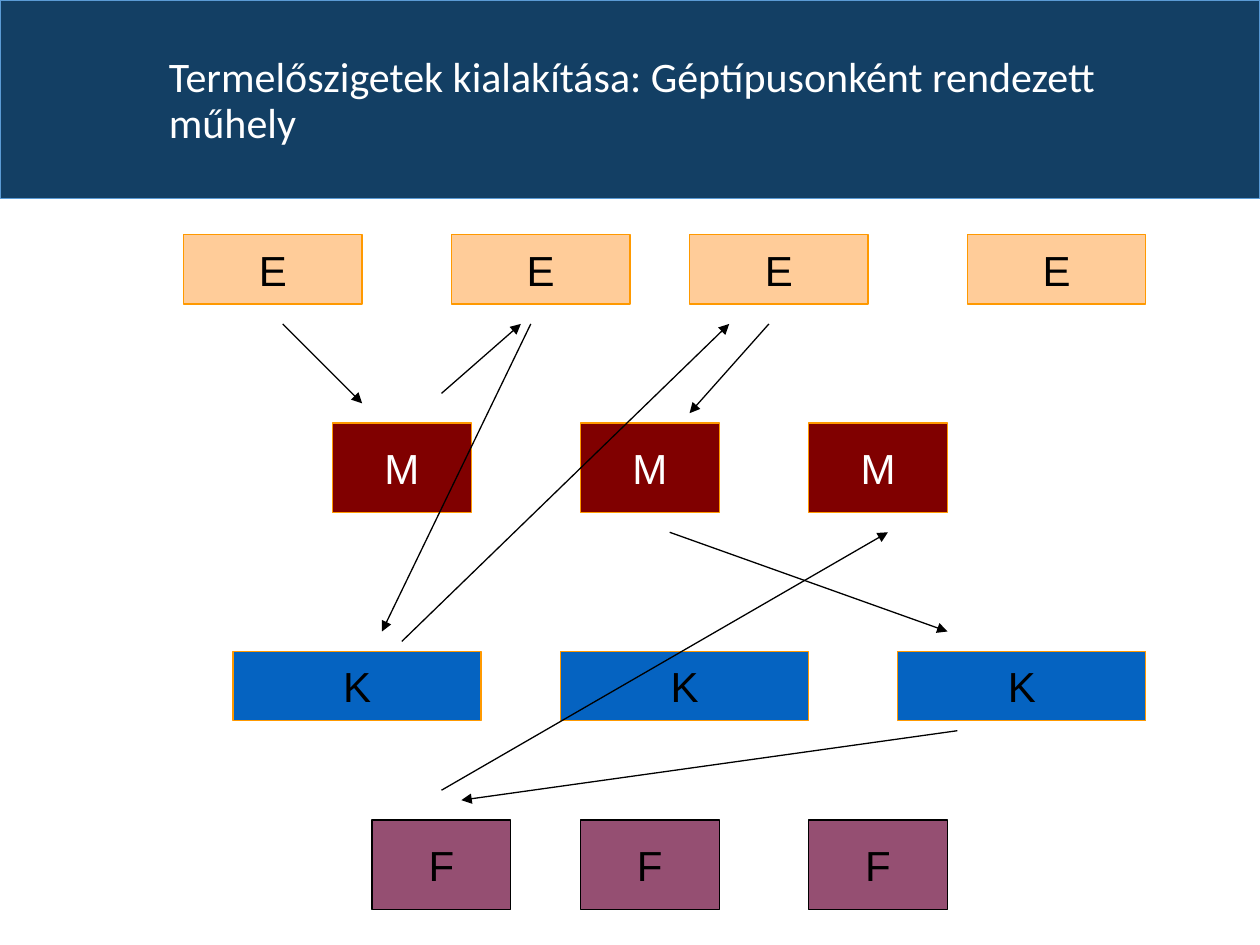
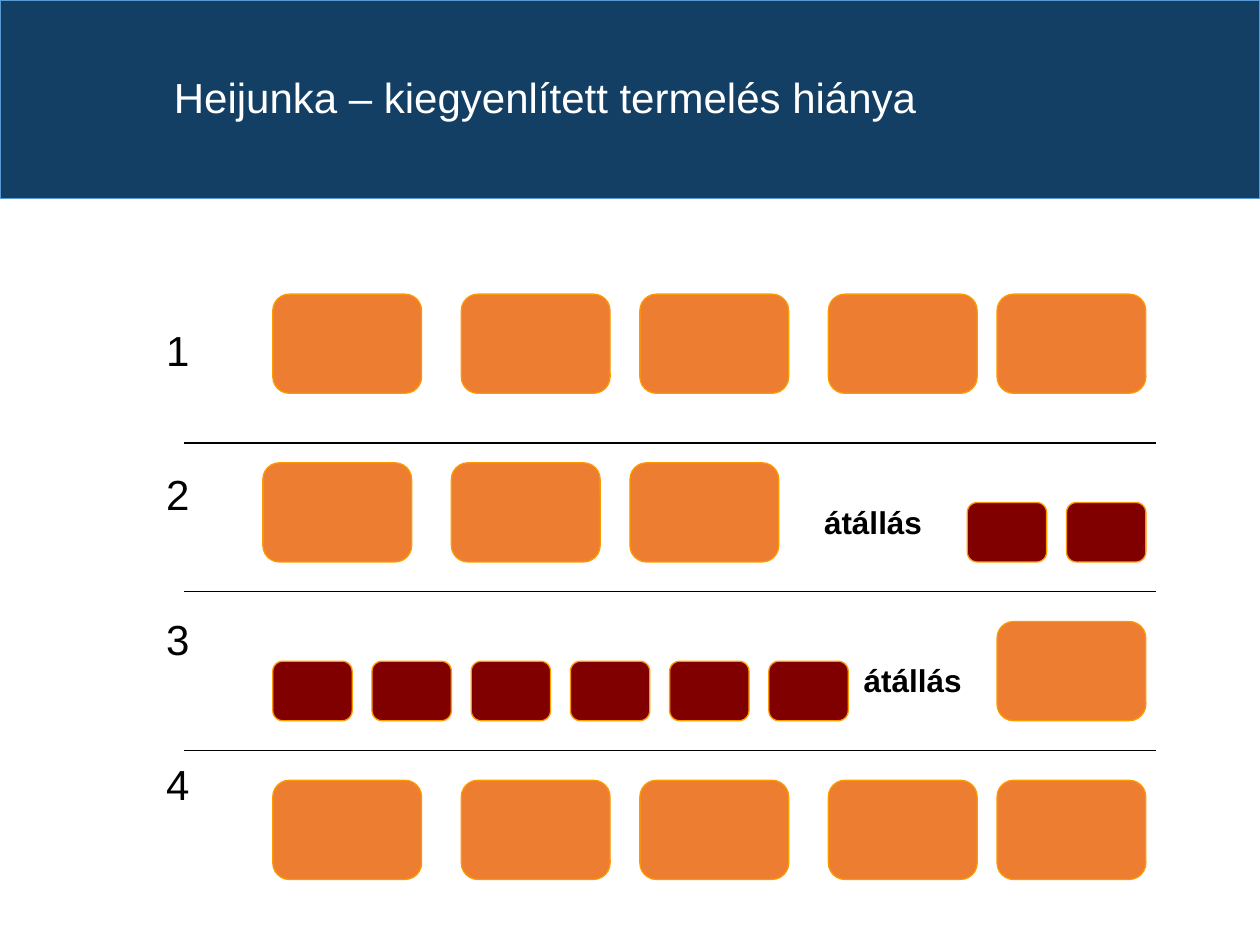
import pptx
import pptx.util
import pptx.dml.color
import pptx.enum.shapes
import pptx.enum.text
import pptx.oxml.ns
import lxml.etree

SHAPE = pptx.enum.shapes.MSO_SHAPE
ALIGN = pptx.enum.text.PP_ALIGN
ANCHOR = pptx.enum.text.MSO_ANCHOR

# Shared colours
NAVY, SKY, WHITE, BLACK = "133F64", "5B9BD5", "FFFFFF", "000000"
AMBER, PEACH, MAROON = "FF9900", "FFCC99", "800000"
BLUE, PLUM, ORANGE = "0563C1", "954F72", "ED7D31"


def rgb(color):
    return pptx.dml.color.RGBColor.from_string(color)


class Deck:
    """Slides drawn on a grid of 2 mm columns and rows."""
    CELL = 0.2
    LEFT, TOP = 0.1, 0.13
    BODY = {"size": pptx.util.Pt(24), "name": "Arial"}

    def __init__(self):
        self.prs = pptx.Presentation()
        self.prs.slide_width = pptx.util.Inches(10)
        self.prs.slide_height = pptx.util.Inches(7.5)
        self.layout = self.prs.slide_layouts[5]
        self.s = None

    def span(self, cells):
        return pptx.util.Cm(cells * self.CELL)

    def point(self, col, row):
        return (self.span(col) + pptx.util.Cm(self.LEFT),
                self.span(row) + pptx.util.Cm(self.TOP))

    def area(self, col, row, cols, rows):
        return (*self.point(col, row), self.span(cols), self.span(rows))

    def style(self, target, values):
        for key, value in values.items():
            setattr(target, key, value)

    def run(self, p, text, color, **font):
        r = p.add_run()
        r.text = text
        self.style(r.font, self.BODY | font)
        r.font.color.rgb = rgb(color)

    def paint(self, sp, fill, line, width=0.75):
        sp.shadow.inherit = False
        sp.fill.solid()
        sp.fill.fore_color.rgb = rgb(fill)
        sp.line.color.rgb = rgb(line)
        sp.line.width = pptx.util.Pt(width)

    def band(self):
        """Draw the title band once, behind everything, on the layout."""
        sp = self.s.shapes.add_shape(
            SHAPE.RECTANGLE, 0, 0, self.prs.slide_width, int(self.prs.slide_height * 0.21))
        self.paint(sp, NAVY, SKY, 0.5)
        self.layout.shapes.element.insert(2, sp.element)

    def slide(self, title, col, row, font):
        first = self.s is None
        self.s = self.prs.slides.add_slide(self.layout)
        if first:
            self.band()
        sp = self.s.shapes.title
        sp.left, sp.top, sp.width, sp.height = self.area(col, row, 102.5, 10.7)
        tf = sp.text_frame
        self.style(tf, {"word_wrap": True, "vertical_anchor": ANCHOR.TOP,
                        "auto_size": pptx.enum.text.MSO_AUTO_SIZE.NONE})
        p = tf.paragraphs[0]
        self.style(p, {"alignment": ALIGN.LEFT, "line_spacing": 0.9})
        self.run(p, title, WHITE, name=font)

    def box(self, col, row, cols, rows, fill, line=AMBER, kind=SHAPE.RECTANGLE,
            text="", color=BLACK):
        sp = self.s.shapes.add_shape(kind, *self.area(col, row, cols, rows))
        self.paint(sp, fill, line)
        if text:
            tf = sp.text_frame
            self.style(tf, {"word_wrap": False, "vertical_anchor": ANCHOR.MIDDLE})
            tf.paragraphs[0].alignment = ALIGN.CENTER
            self.run(tf.paragraphs[0], text, color)

    def line(self, start, end, arrow=False):
        sp = self.s.shapes.add_connector(
            pptx.enum.shapes.MSO_CONNECTOR.STRAIGHT, *self.point(*start), *self.point(*end))
        sp.line.color.rgb = rgb(BLACK)
        sp.line.width = pptx.util.Pt(0.75)
        qn = pptx.oxml.ns.qn
        if arrow:
            ln = sp.element.spPr.find(qn("a:ln"))
            lxml.etree.SubElement(ln, qn("a:tailEnd"), type="triangle")
        lxml.etree.SubElement(sp.element.spPr, qn("a:effectLst"))

    def text(self, col, row, cols, rows, lines, align=ALIGN.LEFT, gap=0, **font):
        tf = self.s.shapes.add_textbox(*self.area(col, row, cols, rows)).text_frame
        self.style(tf, {"word_wrap": True, "margin_top": pptx.util.Inches(0.08),
                        "margin_bottom": pptx.util.Inches(0.02)})
        for i, line in enumerate(lines):
            p = tf.add_paragraph() if i else tf.paragraphs[0]
            p.alignment = align
            if i:
                p.space_before = pptx.util.Pt(gap)
            self.run(p, line, BLACK, **font)


def workshop(deck):
    deck.slide("Termelőszigetek kialakítása: Géptípusonként rendezett műhely",
               15.25, 4.4, "Calibri")
    # Machines, one row for each type
    machines = [
        ("E", 23, (18, 45, 69, 97), (18, 7), PEACH, AMBER, BLACK),
        ("M", 42, (33, 58, 81), (14, 9), MAROON, AMBER, WHITE),
        ("K", 65, (23, 56, 90), (25, 7), BLUE, AMBER, BLACK),
        ("F", 82, (37, 58, 81), (14, 9), PLUM, BLACK, BLACK),
    ]
    for name, row, cols, size, fill, line, color in machines:
        for col in cols:
            deck.box(col, row, *size, fill, line, text=name, color=color)
    # Routes of the parts between machines
    routes = [
        ((28, 32), (36, 40)), ((44, 39), (52, 32)), ((53, 32), (38, 63)),
        ((40, 64), (73, 32)), ((77, 32), (69, 41)), ((67, 53), (95, 63)),
        ((96, 73), (46, 80)), ((44, 79), (89, 53)),
    ]
    for start, end in routes:
        deck.line(start, end, arrow=True)


def heijunka(deck):
    deck.slide("Heijunka – kiegyenlített termelés hiánya", 15.75, 6.5, "Arial")
    # Periods and the rules between them
    deck.text(15, 31, 9, 52, "1234", gap=54)
    for row in (44, 59, 75):
        deck.line((18, row), (116, row))
    # Large and small products in each period
    large, small = (15, 10, ORANGE), (8, 6, MAROON)
    full = (27, 46, 64, 83, 100)
    batches = [
        (29, full, large),
        (46, (26, 45, 63), large),
        (50, (97, 107), small),
        (66, range(27, 78, 10), small),
        (62, (100,), large),
        (78, full, large),
    ]
    for row, cols, product in batches:
        for col in cols:
            deck.box(col, row, *product, kind=SHAPE.FLOWCHART_ALTERNATE_PROCESS)
    # Changeovers
    for col, row in ((80, 49), (84, 65)):
        deck.text(col, row, 15, 5, ["átállás"], ALIGN.CENTER,
                  size=pptx.util.Pt(18), bold=True)


def main():
    deck = Deck()
    workshop(deck)
    heijunka(deck)
    deck.prs.save("out.pptx")


if __name__ == "__main__":
    main()
